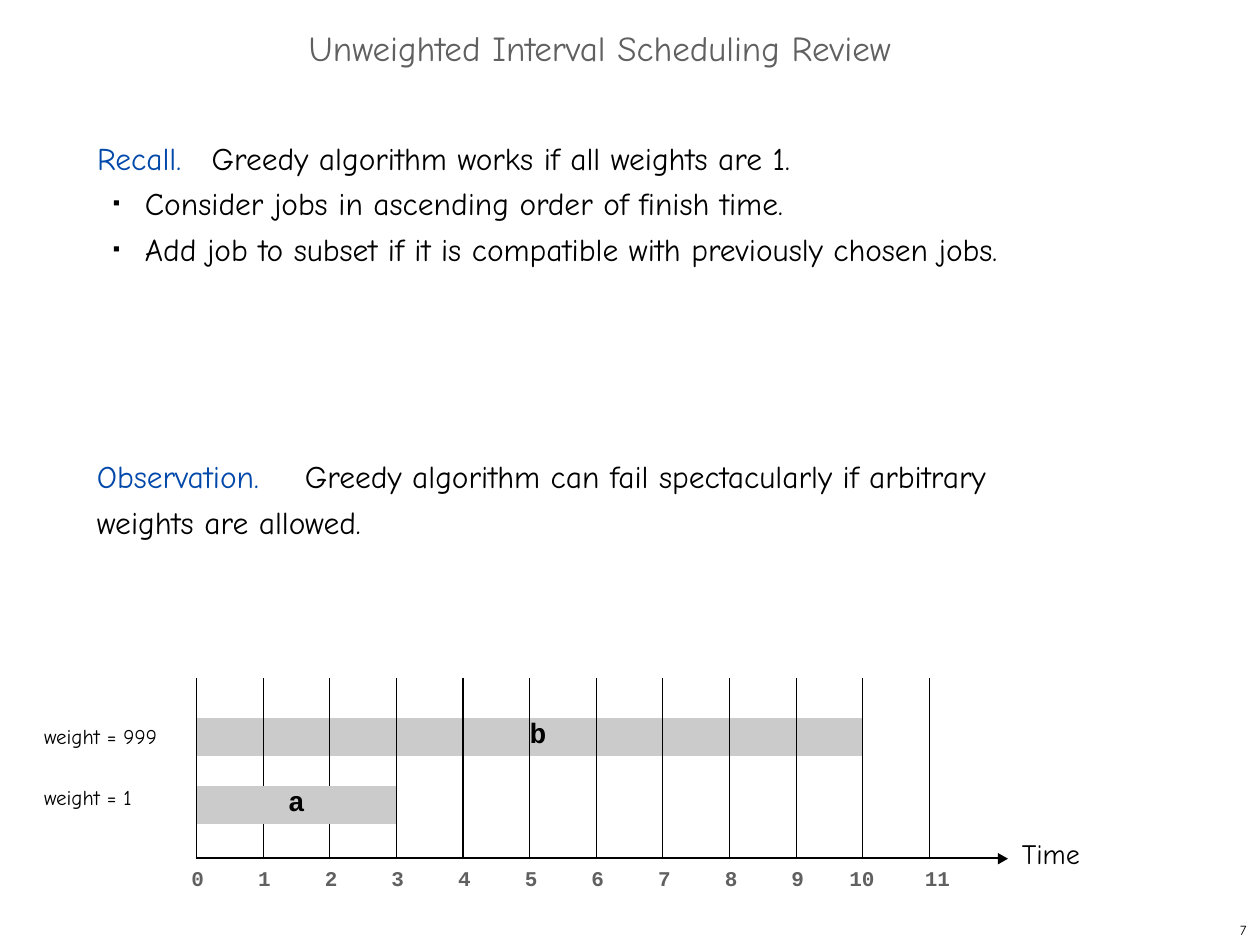
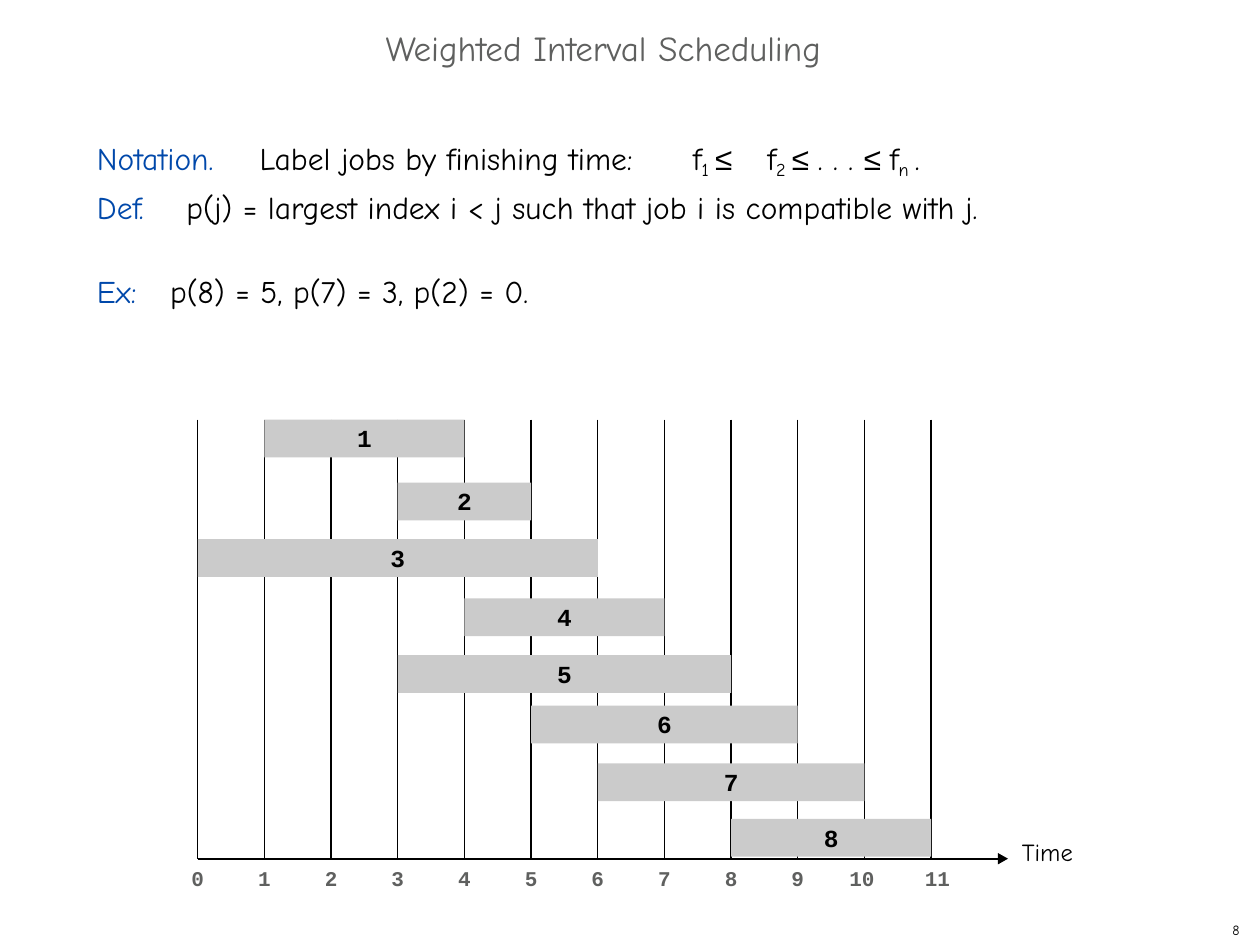
from dataclasses import dataclass
from typing import NamedTuple

from lxml.etree import SubElement
from pptx import Presentation
from pptx.dml.color import RGBColor
from pptx.enum.shapes import MSO_CONNECTOR, MSO_SHAPE
from pptx.enum.text import MSO_ANCHOR, MSO_AUTO_SIZE, PP_ALIGN
from pptx.oxml.ns import qn
from pptx.util import Inches, Pt


@dataclass(frozen=True)
class Theme:
    ink: str = "000000"
    muted: str = "5F605F"
    accent: str = "0048AA"
    bar: str = "CBCBCB"
    hand: str = "Comic Neue"
    mono: str = "Courier New"
    symbol: str = "Arial"
    title: float = 20
    body: float = 18
    label: float = 16
    job: float = 14
    small: float = 12
    footer: float = 8
    grid_line: float = 0.75
    axis_line: float = 1.25
    table_axis: float = 1.75


THEME = Theme()
NO_TABLE_STYLE = "{2D5ABB26-0587-4C30-8999-92F81FD0307C}"
TICKS = 12
STEP = 5.82 / (TICKS - 1)  # width of one time unit


class Box(NamedTuple):
    left: float
    top: float
    width: float
    height: float

    def lengths(self):
        return [Inches(value) for value in self]


@dataclass
class Span:
    text: str
    color: str = THEME.ink
    size: float = THEME.body
    font: str = THEME.hand
    bold: bool = False
    subscript: bool = False


@dataclass
class Para:
    spans: list
    before: float = 1
    left: float = 0.02
    hanging: float = 0
    tabs: tuple = ()
    bullet: str = ""
    align: PP_ALIGN = PP_ALIGN.LEFT
    line: float = 1.0


class Job(NamedTuple):
    name: str
    start: int
    finish: int
    top: float


# Text
def write_para(para, content):
    para.alignment = content.align
    para.line_spacing = content.line
    para.space_before = Pt(content.before)
    props = para._p.get_or_add_pPr()
    props.set("marL", str(Inches(content.left)))
    if content.hanging:
        props.set("indent", str(-Inches(content.hanging)))
    if content.bullet:
        SubElement(props, qn("a:buSzPct"), val="33000")
        SubElement(props, qn("a:buFont"), typeface=THEME.symbol)
        SubElement(props, qn("a:buChar"), char=content.bullet)
    else:
        SubElement(props, qn("a:buNone"))
    if content.tabs:
        stops = SubElement(props, qn("a:tabLst"))
        for stop in content.tabs:
            SubElement(stops, qn("a:tab"), pos=str(Inches(stop)), algn="l")
    for item in content.spans:
        span = para.add_run()
        span.text = item.text
        span.font.name = item.font
        span.font.size = Pt(item.size)
        span.font.bold = item.bold
        span.font.color.rgb = RGBColor.from_string(item.color)
        if item.subscript:
            span._r.get_or_add_rPr().set("baseline", "-21000")


def fill_frame(frame, paras, inset=0.02):
    frame.word_wrap = True
    frame.auto_size = MSO_AUTO_SIZE.NONE
    frame.vertical_anchor = MSO_ANCHOR.TOP
    frame.margin_left = frame.margin_right = frame.margin_bottom = 0
    frame.margin_top = Inches(inset)
    for index, content in enumerate(paras):
        para = frame.add_paragraph() if index else frame.paragraphs[0]
        write_para(para, content)


def place_text(page, box, paras, inset=0.02):
    fill_frame(page.shapes.add_textbox(*box.lengths()).text_frame, paras, inset)


def fill_placeholder(holder, box, paras, inset=0.02):
    holder.left, holder.top, holder.width, holder.height = box.lengths()
    fill_frame(holder.text_frame, paras, inset)


def clear_body_indent(deck):
    """Drop the template's hanging indent, which would override tab stops."""
    for level in deck.slide_master._element.iter(qn("a:lvl1pPr")):
        level.attrib.pop("indent", None)


def start_page(deck, title, title_box, body, body_box, number, number_left):
    page = deck.slides.add_slide(deck.slide_layouts[1])
    heading = Para([Span(title, THEME.muted, THEME.title)])
    fill_placeholder(page.shapes.title, title_box, [heading])
    fill_placeholder(page.placeholders[1], body_box, body, 0.07)
    footer = Para([Span(number, size=THEME.footer)], before=1.8, left=0.04)
    place_text(page, Box(number_left, 7.28, 9.95 - number_left, 0.18), [footer], 0.03)
    return page


# Time line parts
def draw_line(page, start, end, weight):
    line = page.shapes.add_connector(
        MSO_CONNECTOR.STRAIGHT, *[Inches(value) for value in start + end])
    line.line.color.rgb = RGBColor.from_string(THEME.ink)
    line.line.width = Pt(weight)
    SubElement(line._element.spPr, qn("a:effectLst"))


def draw_arrowhead(page, box):
    right, bottom = box.left + box.width, box.top + box.height
    builder = page.shapes.build_freeform(Inches(box.left), Inches(box.top), 1.0)
    builder.add_line_segments(
        [(Inches(box.left), Inches(bottom)),
         (Inches(right), Inches(box.top + box.height / 2))], close=True)
    head = builder.convert_to_shape()
    head.shadow.inherit = False
    head.fill.solid()
    head.fill.fore_color.rgb = RGBColor.from_string(THEME.ink)
    head.line.fill.background()


def label_axis(page, box, time_size):
    """Arrowhead, Time label and tick numbers; box starts at tick 0 on the axis."""
    draw_arrowhead(page, Box(box.left + 6.35, box.top - 0.05, 0.08, 0.09))
    place_text(page, Box(box.left + 6.52, box.top - 0.2, 0.54, 0.29),
               [Para([Span("Time", size=time_size)])])
    for tick in range(TICKS):
        left = box.left - 0.07 + tick * STEP - (0.07 if tick == 10 else 0)
        width = 0.13 if tick < 10 else 0.23
        number = Span(str(tick), THEME.muted, THEME.small, THEME.mono, True)
        place_text(page, Box(left, box.top + 0.03, width, 0.23), [Para([number])])


def draw_job(page, box, name):
    bar = page.shapes.add_shape(MSO_SHAPE.RECTANGLE, *box.lengths())
    bar.shadow.inherit = False
    bar.fill.solid()
    bar.fill.fore_color.rgb = RGBColor.from_string(THEME.bar)
    bar.line.fill.background()
    span = Span(name, size=THEME.job, font=THEME.mono, bold=True)
    fill_frame(bar.text_frame,
               [Para([span], before=2.5, left=0, align=PP_ALIGN.CENTER)], 0.03)


def draw_schedule(page, box, jobs):
    bottom = box.top + box.height
    for tick in range(TICKS):
        x = box.left + tick * STEP
        draw_line(page, (x, box.top), (x, bottom), THEME.grid_line)
    draw_line(page, (box.left, bottom), (box.left + box.width, bottom), THEME.axis_line)
    for job in jobs:
        bar = Box(box.left + job.start * STEP, box.top + job.top,
                  (job.finish - job.start) * STEP, 0.3)
        draw_job(page, bar, job.name)
    label_axis(page, Box(box.left, bottom, box.width, 0), THEME.job)


# Time line as a table
def set_border(cell, side, weight):
    edge = SubElement(cell._tc.get_or_add_tcPr(), qn(f"a:ln{side}"), w=str(Pt(weight)))
    SubElement(SubElement(edge, qn("a:solidFill")), qn("a:srgbClr"), val=THEME.ink)


def format_cell(cell, row, column, last_row):
    cell.margin_left = cell.margin_right = cell.margin_bottom = 0
    cell.margin_top = Inches(0.02)
    within_a = row == 3 and column in (1, 2)
    if not within_a:
        set_border(cell, "L", THEME.grid_line)
    if column < TICKS - 1 and not (within_a and column == 1):
        set_border(cell, "R", THEME.grid_line)
    if row == last_row or cell.is_merge_origin and row != 3:
        set_border(cell, "B", THEME.table_axis)
    if row == 1 and column < 10 or row == 3 and column < 3:
        cell.fill.solid()
        cell.fill.fore_color.rgb = RGBColor.from_string(THEME.bar)
    else:
        cell.fill.background()
    names = {(1, 5): ("b", PP_ALIGN.LEFT), (3, 0): ("a", PP_ALIGN.CENTER)}
    para = cell.text_frame.paragraphs[0]
    if (row, column) in names:
        name, align = names[row, column]
        span = Span(name, size=THEME.label, font=THEME.mono, bold=True)
        write_para(para, Para([span], before=1.2, left=0, align=align))
    else:
        SubElement(para._p, qn("a:endParaRPr"), sz="800")


def draw_job_table(page, box):
    heights = (0.32, 0.3, 0.24, 0.3, 0.27)
    last_row = len(heights) - 1
    table = page.shapes.add_table(len(heights), TICKS, *box.lengths()).table
    table.first_row = table.horz_banding = False
    table._tbl.tblPr.find(qn("a:tableStyleId")).text = NO_TABLE_STYLE
    for row, height in zip(table.rows, heights):
        row.height = Inches(height)
    for index, column in enumerate(table.columns):
        column.width = Inches(STEP if index < TICKS - 1 else 0.57)
    # Free time after each job
    for column in range(3, TICKS):
        table.cell(2 if column < 10 else 0, column).merge(table.cell(last_row, column))
    table.cell(3, 0).merge(table.cell(3, 2))
    for row in range(len(heights)):
        for column in range(TICKS):
            format_cell(table.cell(row, column), row, column, last_row)
    label_axis(page, Box(box.left + 0.01, box.top + box.height + 0.01, box.width, 0),
               THEME.label)


# Slides
def build_review(deck):
    bullets = ["Consider jobs in ascending order of finish time.",
               "Add job to subset if it is compatible with previously chosen jobs."]
    recall = Para([Span("Recall.\t", THEME.accent),
                   Span("Greedy algorithm works if all weights are 1.")],
                  before=5.4, tabs=(0.91,))
    steps = [Para([Span(text)], before=4.4, left=0.4, hanging=0.25,
                  tabs=(0.39,), bullet="■") for text in bullets]
    page = start_page(deck, "Unweighted Interval Scheduling Review",
                      Box(2.43, 0.19, 5.15, 0.36),
                      [recall] + steps, Box(0.75, 1.03, 7.97, 1.11), "7", 9.8)
    observation = [
        Span("Observation.\t", THEME.accent),
        Span("Greedy algorithm can fail spectacularly if arbitrary weights are allowed.")]
    place_text(page, Box(0.75, 3.55, 7.67, 0.75),
               [Para(observation, tabs=(1.65,), line=1.2)])
    draw_job_table(page, Box(1.56, 5.38, 6.39, 1.43))
    weights = [Para([Span(f"weight = {weight}", size=THEME.small)], before=before)
               for weight, before in (("999", 1), ("1", 20.5))]
    place_text(page, Box(0.33, 5.72, 1.03, 0.76), weights)


def build_weighted(deck):
    notation = [Span("Notation.\t", THEME.accent),
                Span("Label jobs by finishing time:\t"),
                Span("f"), Span("1 ", subscript=True),
                Span("≤\t", font=THEME.symbol),
                Span("f"), Span("2 ", subscript=True),
                Span("≤ ", font=THEME.symbol), Span(". . . "),
                Span("≤ ", font=THEME.symbol),
                Span("f"), Span("n ", subscript=True), Span(".")]
    definition = [Span("Def.\t", THEME.accent),
                  Span("p(j) = largest index i < j such that job i is compatible with j.")]
    example = [Span("Ex:\t", THEME.accent), Span("p(8) = 5, p(7) = 3, p(2) = 0.")]
    body = [Para(notation, 5.4, 0.06, tabs=(1.29, 4.73, 5.32)),
            Para(definition, 4.4, 0.06, tabs=(0.71,)),
            Para(example, 26.4, 0.06, tabs=(0.58,))]
    page = start_page(deck, "Weighted Interval Scheduling", Box(3.04, 0.19, 3.94, 0.36),
                      body, Box(0.71, 1.03, 7.68, 1.47), "8", 9.74)
    jobs = [Job("1", 1, 4, 0), Job("2", 3, 5, 0.5), Job("3", 0, 6, 0.95),
            Job("4", 4, 7, 1.42), Job("5", 3, 8, 1.87), Job("6", 5, 9, 2.27),
            Job("7", 6, 10, 2.73), Job("8", 8, 11, 3.17)]
    draw_schedule(page, Box(1.57, 3.33, 6.4, 3.49), jobs)


def main():
    deck = Presentation()
    deck.slide_width, deck.slide_height = Inches(10), Inches(7.5)
    clear_body_indent(deck)
    build_review(deck)
    build_weighted(deck)
    deck.save("out.pptx")


if __name__ == "__main__":
    main()
